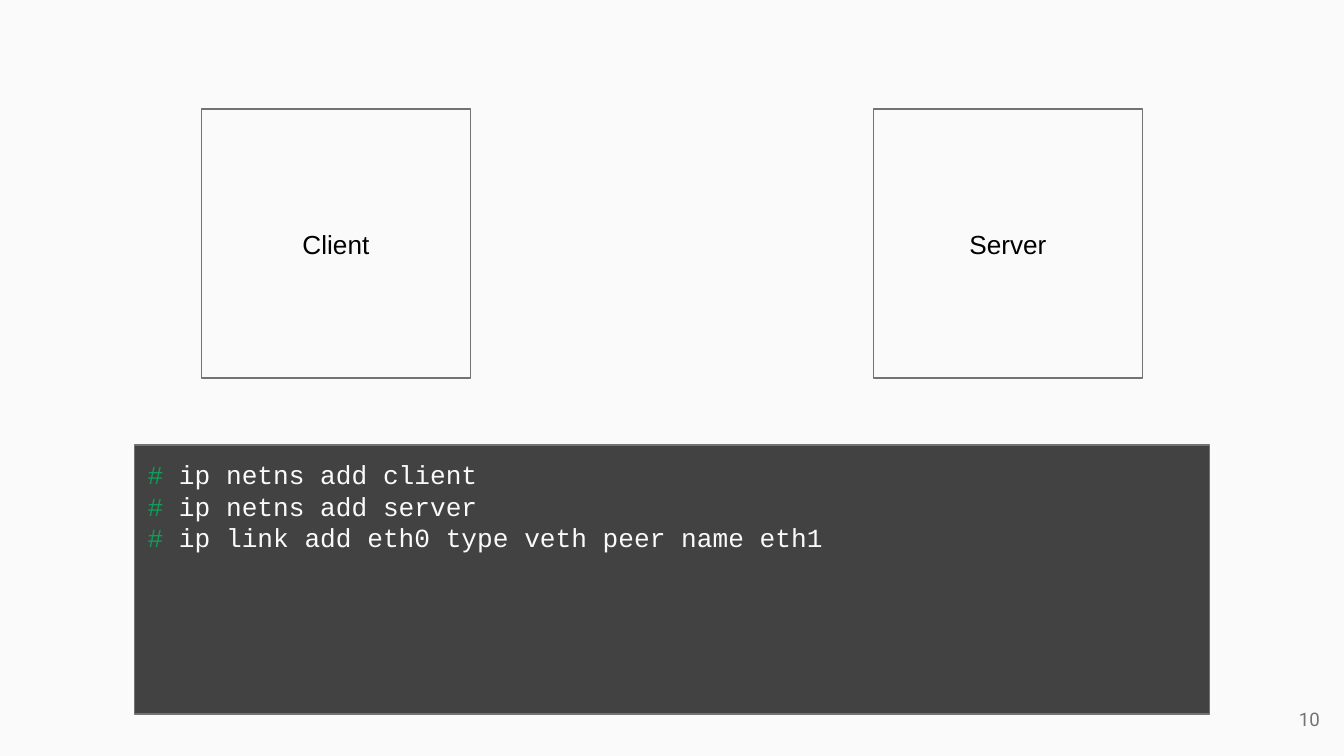
from pptx import Presentation
from pptx.dml.color import RGBColor
from pptx.enum.shapes import MSO_SHAPE
from pptx.enum.text import MSO_ANCHOR, PP_ALIGN
from pptx.util import Pt

RECTANGLE = MSO_SHAPE.RECTANGLE
TOP, MIDDLE = MSO_ANCHOR.TOP, MSO_ANCHOR.MIDDLE
LEFT, CENTER, RIGHT = PP_ALIGN.LEFT, PP_ALIGN.CENTER, PP_ALIGN.RIGHT

EMU_PER_PX = 5715  # 160 px to the inch
COLORS = {
    "background": "FAFAFA",
    "outline": "737373",
    "terminal": "424242",
    "prompt": "0F9D58",
    "command": "FAFAFA",
    "label": "000000",
    "number": "737373",
}


def px(length):
    return length * EMU_PER_PX


def color(name):
    return RGBColor.from_string(COLORS[name])


class SlideBuilder:
    """Holds the style and the current slide."""

    label_font = "Arial"
    code_font = "Courier New"
    number_font = "Roboto"
    text_size = 14
    number_size = 10
    inset = 16

    def __init__(self, slide):
        self.slide = slide
        slide.background.fill.solid()
        slide.background.fill.fore_color.rgb = color("background")

    def prepare_text(self, shape, anchor):
        frame = shape.text_frame
        frame.word_wrap = True
        frame.vertical_anchor = anchor
        frame.margin_left = frame.margin_right = px(self.inset)
        frame.margin_top = frame.margin_bottom = px(self.inset)
        return frame

    def style_paragraph(self, paragraph, alignment, font, size, color_name):
        paragraph.alignment = alignment
        paragraph.font.name = font
        paragraph.font.size = Pt(size)
        paragraph.font.color.rgb = color(color_name)

    def rectangle(self, left, top, width, height, fill=None):
        shape = self.slide.shapes.add_shape(
            RECTANGLE, px(left), px(top), px(width), px(height))
        shape.shadow.inherit = False
        if fill:
            shape.fill.solid()
            shape.fill.fore_color.rgb = color(fill)
        else:
            shape.fill.background()
        shape.line.color.rgb = color("outline")
        shape.line.width = Pt(0.75)
        return shape

    def host(self, name, left, top, side):
        frame = self.prepare_text(self.rectangle(left, top, side, side), MIDDLE)
        paragraph = frame.paragraphs[0]
        paragraph.text = name
        self.style_paragraph(
            paragraph, CENTER, self.label_font, self.text_size, "label")

    def terminal(self, commands, left, top, width, height):
        shape = self.rectangle(left, top, width, height, "terminal")
        frame = self.prepare_text(shape, TOP)
        for index, command in enumerate(commands):
            paragraph = frame.add_paragraph() if index else frame.paragraphs[0]
            self.style_paragraph(
                paragraph, LEFT, self.code_font, self.text_size, "command")
            for text, color_name in (("#", "prompt"), (f" {command}", "command")):
                run = paragraph.add_run()
                run.text = text
                run.font.color.rgb = color(color_name)

    def page_number(self, number, left, top, width, height):
        box = self.slide.shapes.add_textbox(
            px(left), px(top), px(width), px(height))
        paragraph = self.prepare_text(box, MIDDLE).paragraphs[0]
        paragraph.text = str(number)
        self.style_paragraph(
            paragraph, RIGHT, self.number_font, self.number_size, "number")


def main():
    presentation = Presentation()
    presentation.slide_width = px(1600)
    presentation.slide_height = px(900)
    blank_layout = presentation.slide_layouts[6]
    builder = SlideBuilder(presentation.slides.add_slide(blank_layout))

    # Network namespaces
    for index, name in enumerate(("Client", "Server")):
        builder.host(name, 240 + 800 * index, 130, 320)

    # Terminal commands
    builder.terminal(
        (
            "ip netns add client",
            "ip netns add server",
            "ip link add eth0 type veth peer name eth1",
        ),
        160, 530, 1280, 320)

    # Slide number
    builder.page_number(10, 1491, 822, 96, 69)

    presentation.save("out.pptx")


if __name__ == "__main__":
    main()
